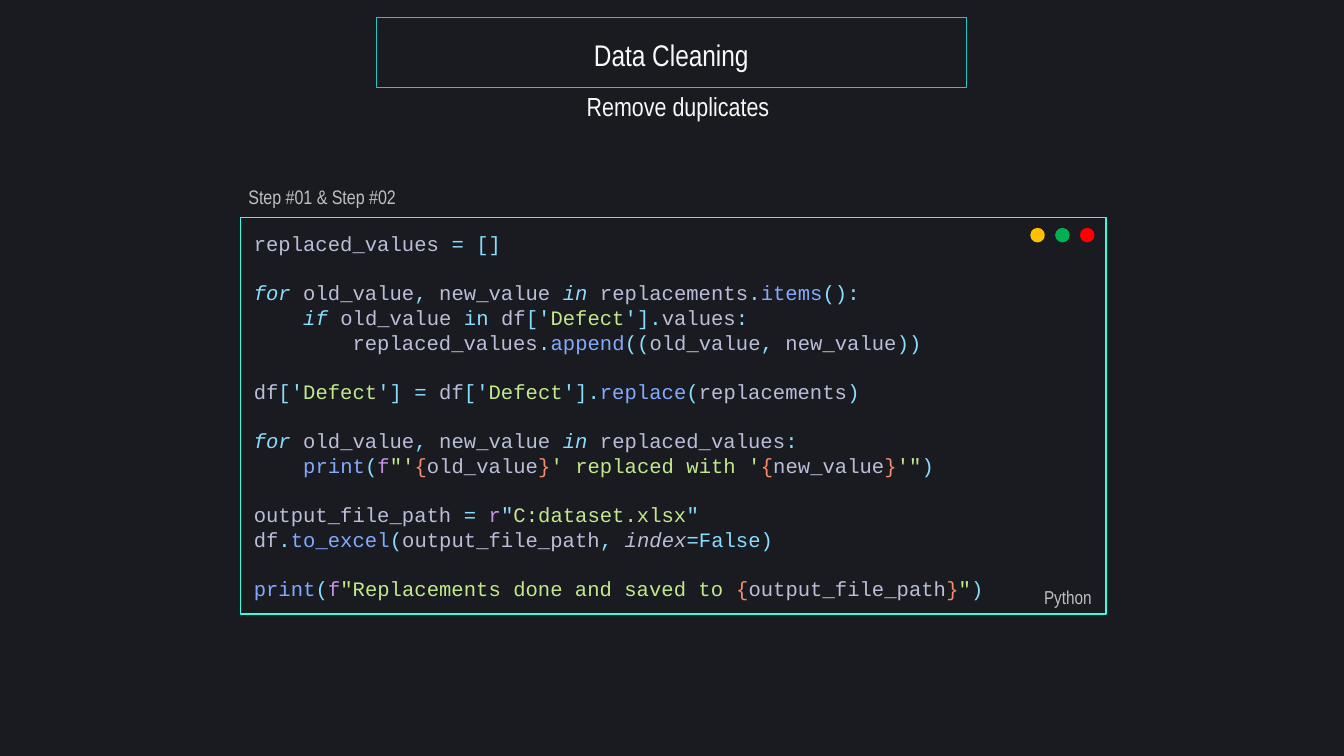
import pptx
import pptx.util
import pptx.dml.color
import pptx.enum.shapes
import pptx.enum.text

Inches, Pt = pptx.util.Inches, pptx.util.Pt
ALIGN = pptx.enum.text.PP_ALIGN
ANCHOR = pptx.enum.text.MSO_ANCHOR
SHAPE = pptx.enum.shapes.MSO_SHAPE

# Content
TITLE = "Data Cleaning"
DARK, WHITE, GREY = "191B20", "F8F8F8", "BFBFBF"
TITLE_LINE, CODE_LINE = "20C7C4", "34FFE1"
NARROW, MONO = "Arial Narrow", "Courier New"

# text, box, size, colour, alignment
LABELS = [
    ("Step #01 & Step #02", (1.75, 1.33, 1.47, 0.28), 10.5, GREY, ALIGN.LEFT),
    ("Python", (7.59, 4.31, 0.71, 0.27), 10, GREY, ALIGN.CENTER),
    ("Remove duplicates", (3.49, 0.62, 3.11, 0.34), 14, WHITE, ALIGN.CENTER),
]
DOTS = ["FFC000", "00B050", "FF0000"]

# Syntax styles: colour, italic
STYLES = {
    "name": ("BABED8", False),
    "arg": ("BABED8", True),
    "op": ("89DDFF", False),
    "key": ("89DDFF", True),
    "func": ("82AAFF", False),
    "str": ("C3E88D", False),
    "prefix": ("C792EA", False),
    "brace": ("F78C6C", False),
}
# Blocks of code lines; a blank line separates the blocks
CODE = [
    [
        [("name", "replaced_values "), ("op", "= []")],
    ],
    [
        [("key", "for "), ("name", "old_value"), ("op", ", "), ("name", "new_value "),
         ("key", "in "), ("name", "replacements"), ("op", "."), ("func", "items"),
         ("op", "():")],
        [("name", "    "), ("key", "if "), ("name", "old_value "), ("op", "in "),
         ("name", "df"), ("op", "['"), ("str", "Defect"), ("op", "']."),
         ("name", "values"), ("op", ":")],
        [("name", "        replaced_values"), ("op", "."), ("func", "append"), ("op", "(("),
         ("name", "old_value"), ("op", ", "), ("name", "new_value"), ("op", "))")],
    ],
    [
        [("name", "df"), ("op", "['"), ("str", "Defect"), ("op", "'] = "), ("name", "df"),
         ("op", "['"), ("str", "Defect"), ("op", "']."), ("func", "replace"), ("op", "("),
         ("name", "replacements"), ("op", ")")],
    ],
    [
        [("key", "for "), ("name", "old_value"), ("op", ", "), ("name", "new_value "),
         ("key", "in "), ("name", "replaced_values"), ("op", ":")],
        [("name", "    "), ("func", "print"), ("op", "("), ("prefix", "f"),
         ("str", "\"'"), ("brace", "{"), ("name", "old_value"), ("brace", "}"),
         ("str", "' replaced with '"), ("brace", "{"), ("name", "new_value"),
         ("brace", "}"), ("str", "'\""), ("op", ")")],
    ],
    [
        [("name", "output_file_path "), ("op", "= "), ("prefix", "r"), ("op", '"'),
         ("str", "C:dataset.xlsx"), ("op", '"')],
        [("name", "df"), ("op", "."), ("func", "to_excel"), ("op", "("),
         ("name", "output_file_path"), ("op", ", "), ("arg", "index"), ("op", "=False)")],
    ],
    [
        [("func", "print"), ("op", "("), ("prefix", "f"),
         ("str", '"Replacements done and saved to '), ("brace", "{"),
         ("name", "output_file_path"), ("brace", "}"), ("str", '"'), ("op", ")")],
    ],
]


def rgb(value):
    return pptx.dml.color.RGBColor.from_string(value)


def paint(sp, fill, line, width):
    sp.fill.solid()
    sp.fill.fore_color.rgb = rgb(fill)
    sp.line.color.rgb = rgb(line)
    sp.line.width = Pt(width)


def frame(sp):
    tf = sp.text_frame
    tf.word_wrap = True
    tf.vertical_anchor = ANCHOR.MIDDLE
    tf.margin_left = tf.margin_right = tf.margin_top = tf.margin_bottom = Inches(0.1)
    return tf


def add_run(p, text, size, font, color, italic=False):
    r = p.add_run()
    r.text = text
    r.font.size = Pt(size)
    r.font.name = font
    r.font.italic = italic
    r.font.color.rgb = rgb(color)


# A 16:9 slide
prs = pptx.Presentation()
prs.slide_width, prs.slide_height = Inches(10), Inches(10 * 9 / 16)
s = prs.slides.add_slide(prs.slide_layouts[5])
s.background.fill.solid()
s.background.fill.fore_color.rgb = rgb(DARK)

# Title
sp = s.shapes.title
sp.left, sp.top, sp.width, sp.height = map(Inches, (2.8, 0.13, 4.39, 0.52))
paint(sp, DARK, TITLE_LINE, 0.75)
tf = frame(sp)
tf.auto_size = pptx.enum.text.MSO_AUTO_SIZE.NONE
p = tf.paragraphs[0]
p.alignment = ALIGN.CENTER
p.line_spacing = 1.15
add_run(p, TITLE, 16, NARROW, WHITE)

# Code window
LINE_PITCH = Pt(13.2)
sp = s.shapes.add_shape(SHAPE.RECTANGLE, *map(Inches, (1.79, 1.62, 6.44, 2.95)))
sp.shadow.inherit = False
paint(sp, DARK, CODE_LINE, 0.75)
tf = frame(sp)
for b, block in enumerate(CODE):
    for n, tokens in enumerate(block):
        p = tf.add_paragraph() if b or n else tf.paragraphs[0]
        p.alignment = ALIGN.LEFT
        p.line_spacing = LINE_PITCH
        if b and n == 0:
            p.space_before = LINE_PITCH
        for style, text in tokens:
            add_run(p, text, 11, MONO, *STYLES[style])

# Window buttons
group = s.shapes.add_group_shape()
for i, color in enumerate(DOTS):
    sp = group.shapes.add_shape(SHAPE.OVAL, Inches(7.68 + 0.37 * i / 2), Inches(1.71),
                                Inches(0.08), Inches(0.08))
    sp.shadow.inherit = False
    paint(sp, color, color, 2)

# Labels
for text, box, size, color, align in LABELS:
    tf = s.shapes.add_textbox(*map(Inches, box)).text_frame
    tf.word_wrap = True
    tf.auto_size = pptx.enum.text.MSO_AUTO_SIZE.SHAPE_TO_FIT_TEXT
    p = tf.paragraphs[0]
    p.alignment = align
    add_run(p, text, size, NARROW, color)

prs.save("out.pptx")
